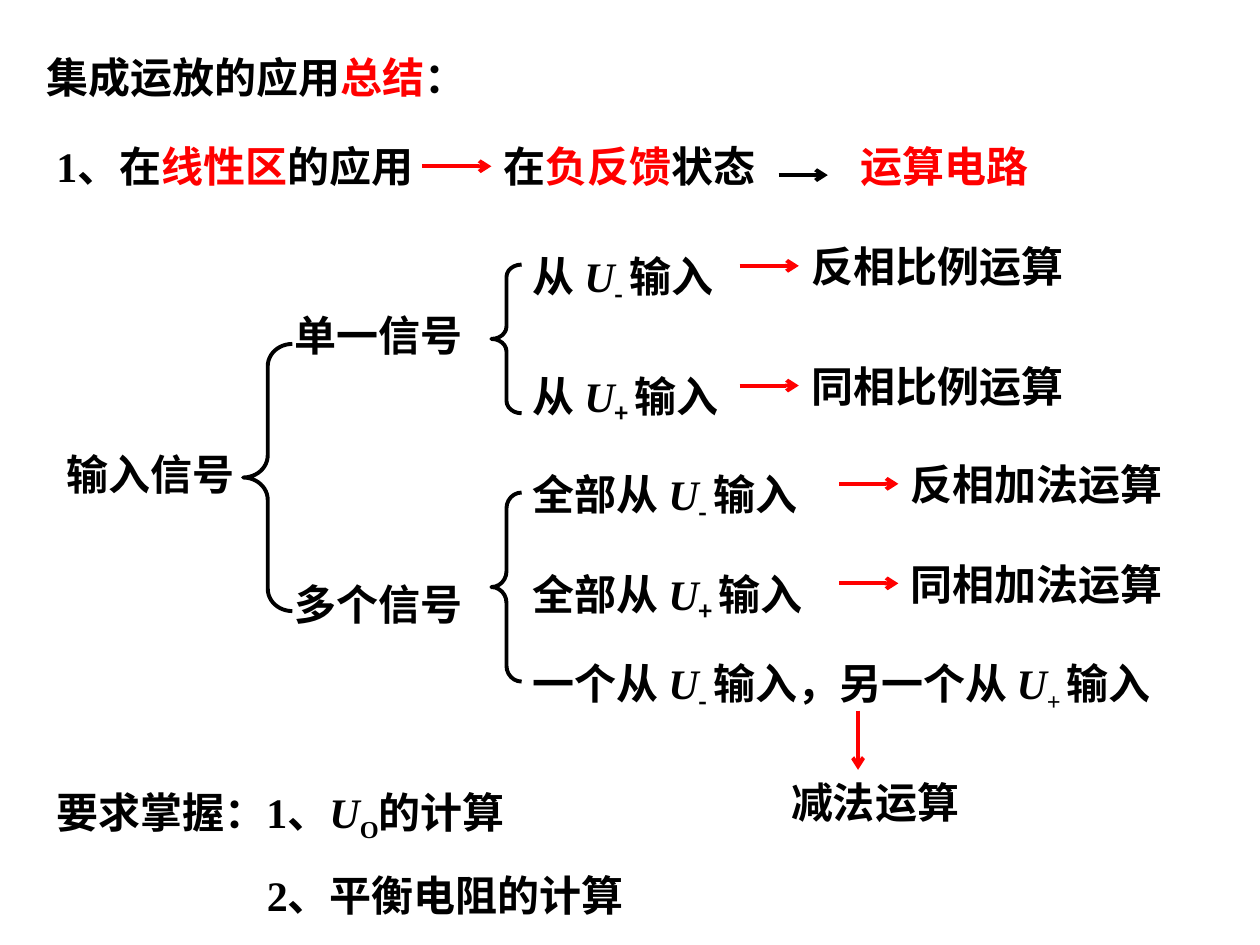
from lxml.etree import SubElement
from pptx import Presentation
from pptx.dml.color import RGBColor
from pptx.enum.shapes import MSO_CONNECTOR, MSO_SHAPE
from pptx.enum.text import MSO_ANCHOR, MSO_AUTO_SIZE, PP_ALIGN
from pptx.oxml.ns import qn
from pptx.util import Inches, Pt

BLACK = RGBColor(0, 0, 0)
RED = RGBColor(255, 0, 0)
LINE = MSO_CONNECTOR.STRAIGHT
BRACE = MSO_SHAPE.LEFT_BRACE
TOP = MSO_ANCHOR.TOP
FIXED = MSO_AUTO_SIZE.NONE
LEFT = PP_ALIGN.LEFT
COLS, ROWS = 100, 75
BOX_H = 5

FONT = {"name": "Times New Roman", "size": Pt(24), "bold": True}
FRAME = {"word_wrap": True, "auto_size": FIXED, "vertical_anchor": TOP,
         "margin_left": Inches(0.1), "margin_right": Inches(0.1),
         "margin_top": Inches(0.05), "margin_bottom": Inches(0.05)}
KINDS = {
    "plain": {},
    "red": {},
    "var": {"italic": True},
    "low": {},
    "sign": {"name": "Noto Sans CJK SC"},
}


def apply(target, values):
    for key, value in values.items():
        setattr(target, key, value)


class Board:
    def __init__(self, deck):
        self.deck = deck
        self.slide = deck.slides.add_slide(deck.slide_layouts[5])

    def x(self, cols):
        return round(self.deck.slide_width * cols / COLS)

    def y(self, rows):
        return round(self.deck.slide_height * rows / ROWS)

    def area(self, left, top, width, height):
        return self.x(left), self.y(top), self.x(width), self.y(height)

    def fill(self, para, parts):
        """Add runs given as plain strings or (text, kind) pairs."""
        para.alignment = LEFT
        for part in parts:
            text, kind = (part, "plain") if isinstance(part, str) else part
            run = para.add_run()
            run.text = text
            apply(run.font, FONT | KINDS[kind])
            run.font.color.rgb = RED if kind == "red" else BLACK
            if kind in ("low", "sign"):
                run._r.get_or_add_rPr().set("baseline", "-25000")

    def title(self, left, top, width, *parts):
        head = self.slide.shapes.title
        box = self.area(left, top, width, BOX_H)
        apply(head, dict(zip(("left", "top", "width", "height"), box)))
        apply(head.text_frame, FRAME)
        self.fill(head.text_frame.paragraphs[0], parts)

    def text(self, left, top, width, *parts, height=BOX_H):
        box = self.slide.shapes.add_textbox(*self.area(left, top, width, height))
        apply(box.text_frame, FRAME)
        self.fill(box.text_frame.paragraphs[0], parts)
        return box

    def arrow(self, start, end, color=RED, goal=None):
        """Draw an arrow, joined to the left side of goal if there is one."""
        (x1, y1), (x2, y2) = start, end
        link = self.slide.shapes.add_connector(
            LINE, self.x(x1), self.y(y1), self.x(x2), self.y(y2))
        link.line.color.rgb = color
        link.line.width = Pt(2.25)
        props = link._element.spPr
        SubElement(props.find(qn("a:ln")), qn("a:tailEnd"), type="arrow")
        SubElement(props, qn("a:effectLst"))
        if goal is not None:
            link.end_connect(goal, 1)

    def result(self, left, top, width, gap, *parts):
        """Add a text with an arrow of length gap leading to it."""
        box = self.text(left, top, width, *parts)
        mid = top + BOX_H / 2
        self.arrow((left - gap, mid), (left, mid), goal=box)

    def brace(self, left, top, width, height):
        shape = self.slide.shapes.add_shape(
            BRACE, *self.area(left, top, width, height))
        shape.shadow.inherit = False
        shape.fill.background()
        shape.line.color.rgb = BLACK
        shape.line.width = Pt(2.25)
        shape.adjustments[0] = height / width / 12


def feed(source, sign, kind="sign"):
    """Give the parts that name the input a signal enters by."""
    return [source + "从 ", ("U", "var"), (sign + " ", kind), "输入"]


def main():
    deck = Presentation()
    deck.slide_width, deck.slide_height = Inches(10), Inches(7.5)
    board = Board(deck)

    board.title(2.7, 3.6, 54.3, "集成运放的应用", ("总结", "red"), "：")
    board.text(3.5, 10.7, 37, "1、在", ("线性区", "red"), "的应用")
    board.result(39, 10.7, 28.3, 5.5, "在", ("负反馈", "red"), "状态")
    board.arrow((61.8, 13.9), (65.7, 13.9), BLACK)
    board.text(67.3, 10.7, 15.8, ("运算电路", "red"))

    board.text(4.3, 35.1, 16.5, "输入信号")
    for top, label in ((24.1, "单一信号"), (45.4, "多个信号")):
        board.text(22.4, top, 19.7, label)
    for area in ((19.3, 27.3, 3.9, 21.2), (39, 21, 2.4, 11.8),
                 (39, 39.1, 2.4, 15)):
        board.brace(*area)

    cases = ((19.4, "", "-", 63.4, "反相比例运算"),
             (28.9, "", "+", 63.4, "同相比例运算"),
             (36.7, "全部", "-", 71.3, "反相加法运算"),
             (44.6, "全部", "+", 71.3, "同相加法运算"))
    for top, source, sign, left, outcome in cases:
        board.text(41.3, top, 29.9, *feed(source, sign), height=5.6)
        board.result(left, top - 0.8, 26, 4.7, outcome)

    board.text(41.3, 51.7, 55.1, *feed("一个", "-"), "，",
               *feed("另一个", "+", "low"), height=5.6)
    board.arrow((68.1, 56.4), (68.1, 61.1))
    board.text(61.8, 61.1, 21.3, "减法运算")

    goals = board.text(3.5, 61.9, 55.1, "要求掌握：1、", ("U", "var"),
                       ("O", "low"), "的计算", height=11.7)
    second = goals.text_frame.add_paragraph()
    second.space_before = Pt(15)
    second._p.get_or_add_pPr().set("marL", str(board.x(16.7)))
    board.fill(second, ["2、平衡电阻的计算"])

    deck.save("out.pptx")


if __name__ == "__main__":
    main()
